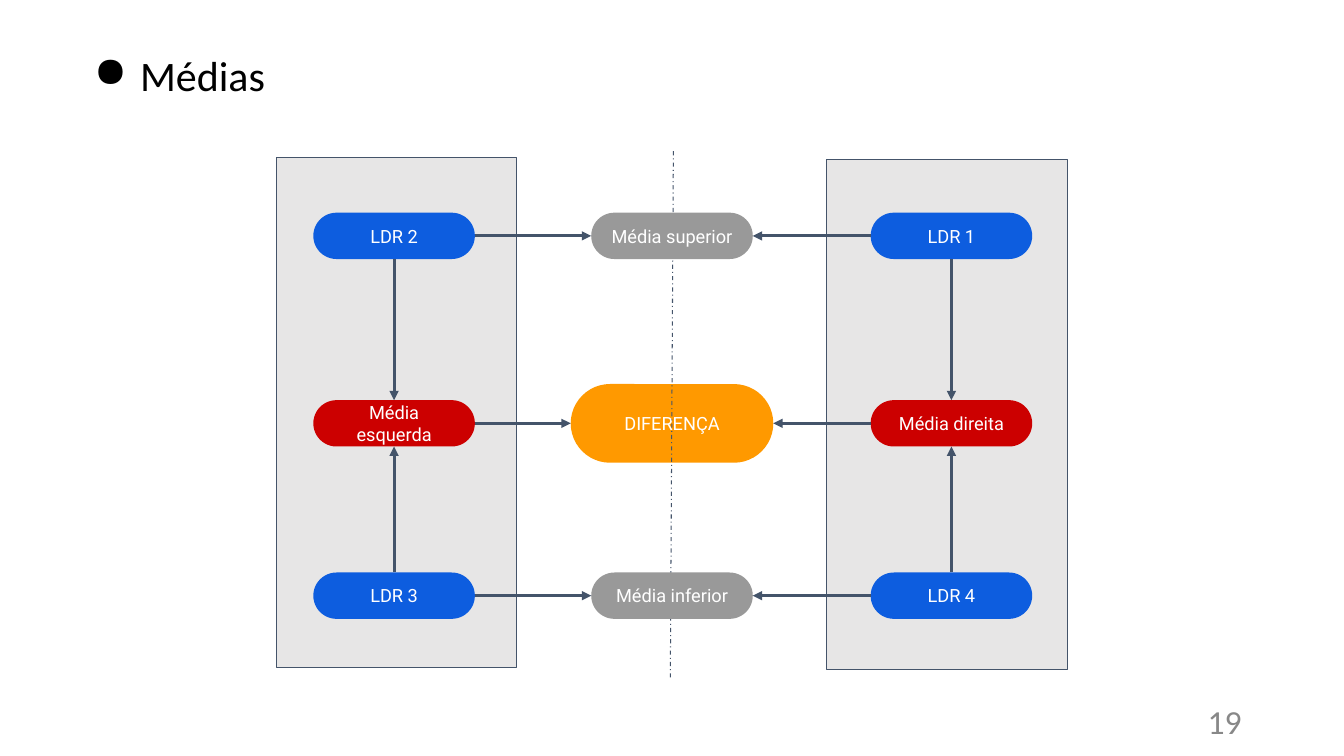
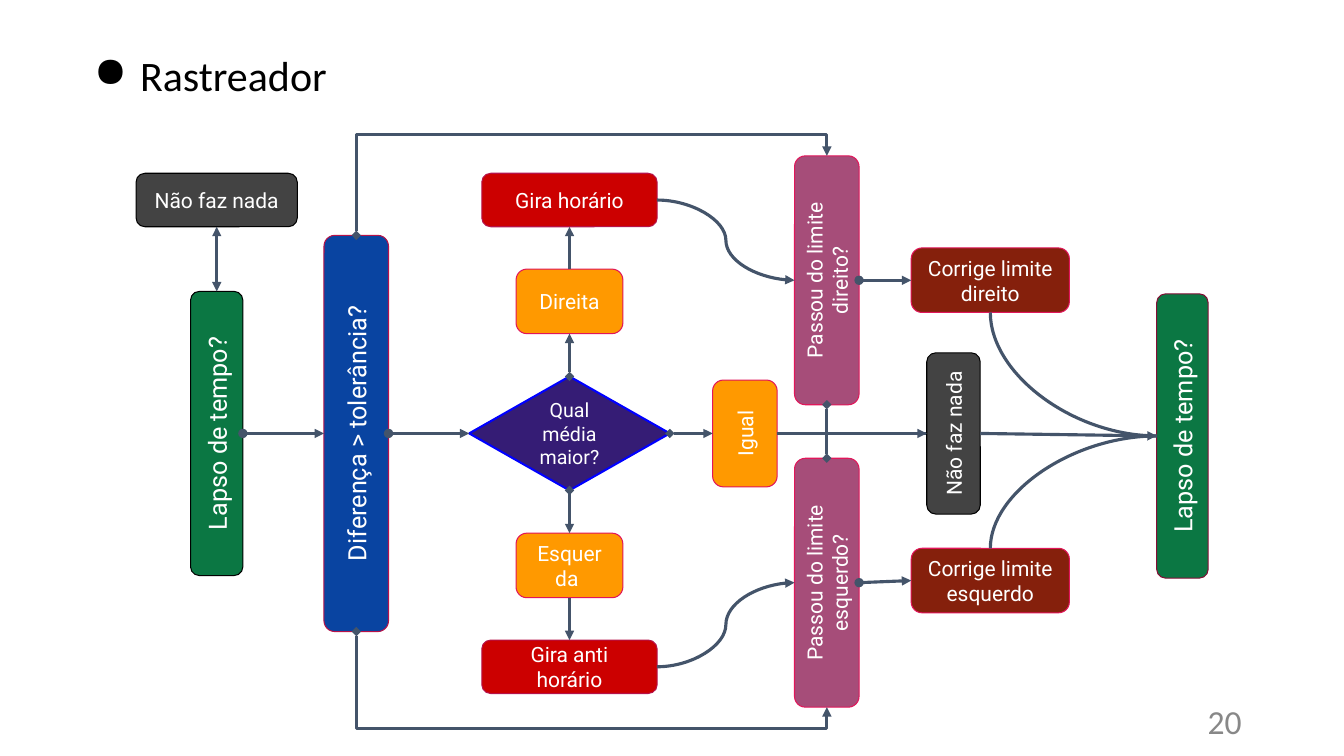
from lxml.etree import SubElement
from pptx import Presentation
from pptx.dml.color import RGBColor
from pptx.enum.dml import MSO_LINE
from pptx.enum.shapes import MSO_CONNECTOR, MSO_SHAPE
from pptx.enum.text import MSO_ANCHOR, PP_ALIGN
from pptx.oxml.ns import qn
from pptx.util import Pt

HUES = {
    "white": "FFFFFF", "black": "000000", "panel": "E7E6E6", "slate": "44546A",
    "blue": "0D5DDF", "red": "CC0000", "orange": "FF9900", "grey": "999999",
    "page": "888888", "green": "0B7743", "navy": "0944A1", "plum": "A64D79",
    "brown": "85200C", "dark": "434343", "violet": "351C75", "pure": "0000FF",
    "pink": "E1165A", "wine": "B61249", "maroon": "840D35",
}


def hue(name):
    return RGBColor.from_string(HUES[name])


class Deck:
    """Holds the deck style and the current slide."""

    def __init__(self):
        self.deck = Presentation()
        self.deck.slide_width, self.deck.slide_height = Pt(960), Pt(540)

    def page(self, title, number, width):
        self.slide = self.deck.slides.add_slide(self.deck.slide_layouts[6])
        para = self.label(title, (57, 28, width, 57.6), 30, "black", 7.2)
        props = para._p.get_or_add_pPr()
        props.set("marL", str(Pt(36)))
        props.set("indent", str(Pt(-33)))
        tint = SubElement(props, qn("a:buClr"))
        SubElement(tint, qn("a:srgbClr")).set("val", HUES["black"])
        SubElement(props, qn("a:buChar")).set("char", "●")
        para = self.label(number, (678, 500.4, 216, 28.8), 24, "page", 3.6, MSO_ANCHOR.MIDDLE)
        para.alignment = PP_ALIGN.RIGHT

    def letter(self, frame, text, size, color, font):
        frame.word_wrap = True
        frame.text = text
        for para in frame.paragraphs:
            for run in para.runs:
                run.font.size, run.font.name = Pt(size), font
                run.font.color.rgb = hue(color)

    def label(self, text, box, size, color, pad, anchor=MSO_ANCHOR.TOP):
        frame = self.slide.shapes.add_textbox(*map(Pt, box)).text_frame
        self.letter(frame, text, size, color, "Calibri")
        frame.margin_left = frame.margin_right = Pt(7.2)
        frame.margin_top = frame.margin_bottom = Pt(pad)
        frame.vertical_anchor = anchor
        return frame.paragraphs[0]

    def block(self, kind, box, fill, edge=None, weight=0.75):
        shape = self.slide.shapes.add_shape(kind, *map(Pt, box))
        shape.shadow.inherit = False
        shape.fill.solid()
        shape.fill.fore_color.rgb = hue(fill)
        if edge:
            shape.line.color.rgb = hue(edge)
            shape.line.width = Pt(weight)
        else:
            shape.line.fill.background()
        return shape

    def node(self, text, spot, size, fill, edge=None, pts=15, curve=0.167,
             turn=False, kind=MSO_SHAPE.ROUNDED_RECTANGLE, weight=0.75, pad=9.1):
        (x, y), (w, h) = spot, size
        shape = self.block(kind, (x - w / 2, y - h / 2, w, h), fill, edge, weight)
        if kind == MSO_SHAPE.ROUNDED_RECTANGLE:
            shape.adjustments[0] = curve
        frame = shape.text_frame
        self.letter(frame, text, pts, "white", "Roboto")
        frame.margin_left = frame.margin_right = Pt(pad)
        frame.margin_top = frame.margin_bottom = Pt(pad)
        frame.vertical_anchor = MSO_ANCHOR.MIDDLE
        for para in frame.paragraphs:
            para.alignment = PP_ALIGN.CENTER
        if turn:
            shape.rotation = 270
            w, h = h, w
        return {"l": (x - w / 2, y), "r": (x + w / 2, y),
                "t": (x, y - h / 2), "b": (x, y + h / 2)}

    def link(self, start, end, head=None, tail="triangle",
             kind=MSO_CONNECTOR.STRAIGHT, preset=None, weight=2.25, dash=None):
        wire = self.slide.shapes.add_connector(kind, *map(Pt, (*start, *end)))
        wire.line.color.rgb = hue("slate")
        wire.line.width = Pt(weight)
        if dash:
            wire.line.dash_style = dash
        props = wire._element.spPr
        line = props.find(qn("a:ln"))
        for tag, tip in (("a:headEnd", head), ("a:tailEnd", tail)):
            if tip:
                SubElement(line, qn(tag)).set("type", tip)
        SubElement(props, qn("a:effectLst"))
        if preset:
            props.find(qn("a:prstGeom")).set("prst", preset)
        return wire

    def loop(self, start, end, rail):
        (x1, y1), (x2, y2) = start, end
        x, y = (x1 + x2) / 2, (y1 + y2) / 2
        rise, half = y1 - y2, (x2 - x1) / 2
        wire = self.link((x - rise / 2, y - half), (x + rise / 2, y + half),
                         "diamond", kind=MSO_CONNECTOR.ELBOW)
        props = wire._element.spPr
        props.find(qn("a:xfrm")).set("rot", str(270 * 60000))
        geom = props.find(qn("a:prstGeom"))
        guides = geom.find(qn("a:avLst"))
        if guides is None:
            guides = SubElement(geom, qn("a:avLst"))
        guide = SubElement(guides, qn("a:gd"))
        guide.set("name", "adj1")
        guide.set("fmla", f"val {round((y1 - rail) / rise * 100000)}")


def means(deck):
    deck.page("Médias", "19", 188)
    for x, y in ((197.3, 112.3), (590.4, 113.8)):
        deck.block(MSO_SHAPE.RECTANGLE, (x, y, 172, 364.3), "panel", "slate")
    left, mid, right = 281.5, 480, 679.6
    top, core, low = 168.5, 302.4, 425.5

    def pill(text, x, y, fill, size=(115.4, 33.1)):
        return deck.node(text, (x, y), size, fill, pts=13, curve=0.5)

    gap = pill("DIFERENÇA", mid, core, "orange", (144.7, 56.2))
    sides = [[pill(text, x, y, fill) for text, y, fill in zip(names, (top, core, low), ("blue", "red", "blue"))]
             for x, names in ((left, ("LDR 2", "Média esquerda", "LDR 3")),
                              (right, ("LDR 1", "Média direita", "LDR 4")))]
    deck.link((481, 108), (478.8, 484.6), tail=None, weight=0.75, dash=MSO_LINE.DASH_DOT)
    hubs = [pill("Média superior", mid, top, "grey"), gap, pill("Média inferior", mid, low, "grey")]
    for column, out, into in zip(sides, "rl", "lr"):
        for item, hub in zip(column, hubs):
            deck.link(item[out], hub[into])
        deck.link(column[0]["b"], column[1]["t"])
        deck.link(column[2]["t"], column[1]["b"])


def tracker(deck):
    deck.page("Rastreador", "20", 698)
    axis, turn, limit, fix = 309.6, 406.8, 590.6, 707.4
    tall, small, wide = (177.8, 46.1), (76.3, 46.1), (125.3, 38.2)
    idle, mend = (115.2, 38.2), (113, 46.1)
    lapse = deck.node("Lapso de tempo?", (154.8, axis), (203, 37.4), "green", "black", 18, turn=True)
    test = deck.node("Diferença > tolerância?", (254.5, axis), (283, 46.1), "navy", "wine", 18, turn=True)
    rest = deck.node("Não faz nada", (154.8, 142.9), idle, "dark", "black")
    ask = deck.node("Qual média maior?", (turn, axis), (143.3, 81.4), "violet", "pure", 14,
                    kind=MSO_SHAPE.DIAMOND, weight=1.5, pad=7.2)
    last = deck.node("Lapso de tempo?", (844.6, 311.4), (203, 36.7), "green", "maroon", 18, turn=True)
    curve = MSO_CONNECTOR.CURVE
    rows = (
        ("t", "b", "Direita", 215.3, "Gira horário", 142.9, "Passou do limite direito?", 200.2,
         "Corrige limite\ndireito", 200.2, 95.8),
        ("b", "t", "Esquerda ", 403.9, "Gira anti horário", 476.3, "Passou do limite esquerdo?", 416.2,
         "Corrige limite esquerdo", 414.7, 520.6),
    )
    for far, near, way, y1, spin, y2, bound, y3, cure, y4, rail in rows:
        side = deck.node(way, (turn, y1), small, "orange", "pink")
        move = deck.node(spin, (turn, y2), wide, "red", "wine")
        check = deck.node(bound, (limit, y3), tall, "plum", "pink", turn=True)
        repair = deck.node(cure, (fix, y4), mend, "brown", "pink")
        deck.link(ask[far], side[near], "diamond")
        deck.link(side[far], move[near])
        deck.link(move["r"], check["l"], kind=curve)
        deck.loop(test[far], check[far], rail)
        deck.link(check["r"], repair["l"], "oval")
        deck.link(last["l"], repair[near], tail=None, kind=curve, preset="curvedConnector2")
        deck.link((662.4, axis), check[near], tail="diamond",
                  kind=MSO_CONNECTOR.ELBOW, preset="bentConnector2")
    skip = deck.node("Não faz nada", (681.1, axis), idle, "dark", "black", turn=True)
    same = deck.node("Igual", (532.1, axis), small, "orange", "pink", turn=True)
    deck.link(lapse["t"], rest["b"], "triangle")
    deck.link(lapse["r"], test["l"], "oval")
    deck.link(test["r"], ask["l"], "oval")
    deck.link(ask["r"], same["l"], "diamond")
    deck.link(same["r"], skip["l"])
    deck.link(skip["r"], last["l"])


def main():
    deck = Deck()
    means(deck)
    tracker(deck)
    deck.deck.save("out.pptx")


if __name__ == "__main__":
    main()
